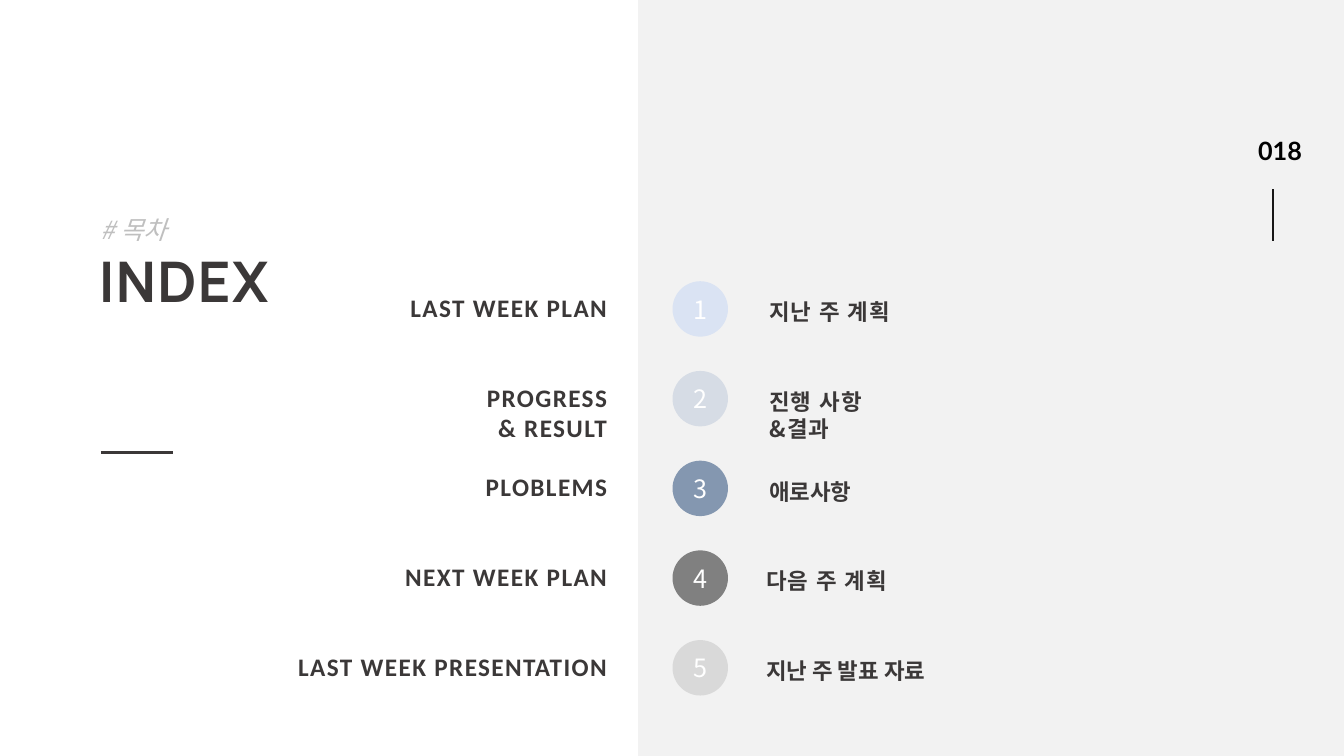
from lxml.etree import SubElement
from pptx import Presentation
from pptx.dml.color import RGBColor
from pptx.enum.shapes import MSO_CONNECTOR, MSO_SHAPE
from pptx.enum.text import MSO_ANCHOR, MSO_AUTO_SIZE, PP_ALIGN
from pptx.oxml.ns import qn
from pptx.util import Inches, Pt

WHITE = RGBColor(0xFF, 0xFF, 0xFF)
BLACK = RGBColor(0x00, 0x00, 0x00)
INK = RGBColor(0x18, 0x17, 0x17)
DARK = RGBColor(0x3B, 0x38, 0x38)
SILVER = RGBColor(0xBF, 0xBF, 0xBF)
PANEL = RGBColor(0xF2, 0xF2, 0xF2)
KOREAN = "Noto Sans CJK KR"

TITLE = "INDEX"
SUBTITLE = "# 목차"
PAGE = "018"
# English lines, Korean lines, Korean letter spacing, Korean left, circle colour
ROWS = [
    (["LAST WEEK PLAN"], ["지난 주 계획"], 1, 7.53, RGBColor(0xDA, 0xE3, 0xF3)),
    (["PROGRESS", "& RESULT"], ["진행 사항", "&결과"], 1, 7.53, RGBColor(0xD6, 0xDC, 0xE5)),
    (["PLOBLEMS"], ["애로사항"], 0, 7.53, RGBColor(0x84, 0x97, 0xB0)),
    (["NEXT WEEK PLAN"], ["다음 주 계획"], 1, 7.5, RGBColor(0x80, 0x80, 0x80)),
    (["LAST WEEK PRESENTATION"], ["지난 주 발표 자료"], 0, 7.5, RGBColor(0xD9, 0xD9, 0xD9)),
]
TOP, PITCH, CIRCLE = 2.79, 0.89, 0.55


def write(tf, lines, size, font, color, bold=False, italic=False, spacing=0, align=PP_ALIGN.LEFT):
    """Fill a text frame with one formatted paragraph per line."""
    for i, line in enumerate(lines):
        p = tf.paragraphs[0] if i == 0 else tf.add_paragraph()
        p.text, p.alignment = line, align
        p.font.size, p.font.name = Pt(size), font
        p.font.bold, p.font.italic = bold, italic
        p.font.color.rgb = color
        props = p._p.get_or_add_pPr().get_or_add_defRPr()
        props.set("spc", str(spacing * 100))
        SubElement(props, qn("a:ea"), typeface=font)


def add_text(slide, box, lines, size, font, color, wrap=True, **style):
    """Add a text box and return its text frame."""
    tf = slide.shapes.add_textbox(*map(Inches, box)).text_frame
    tf.word_wrap = wrap
    tf.auto_size = MSO_AUTO_SIZE.SHAPE_TO_FIT_TEXT
    write(tf, lines, size, font, color, **style)
    return tf


def add_filled(slide, kind, box, color):
    """Add a plain filled shape."""
    sp = slide.shapes.add_shape(kind, *map(Inches, box))
    sp.shadow.inherit = False
    sp.fill.solid()
    sp.fill.fore_color.rgb = color
    sp.line.fill.background()
    return sp


def add_line(slide, ends, color, width):
    """Add a straight line without a shadow."""
    line = slide.shapes.add_connector(MSO_CONNECTOR.STRAIGHT, *map(Inches, ends))
    line.line.color.rgb = color
    line.line.width = Pt(width)
    SubElement(line._element.spPr, qn("a:effectLst"))


def add_row(slide, number, top, row):
    """Add one numbered index entry in both languages."""
    english, korean, spacing, left, color = row
    sp = add_filled(slide, MSO_SHAPE.OVAL, (6.67, top, CIRCLE, CIRCLE), color)
    tf = sp.text_frame
    tf.vertical_anchor = MSO_ANCHOR.MIDDLE
    write(tf, [str(number)], 18, KOREAN, WHITE, align=PP_ALIGN.CENTER)
    add_text(slide, (2.78, top + 0.06, 3.34, 0.09 + 0.31 * len(english)), english, 18,
             "Calibri", DARK, bold=True, spacing=1, align=PP_ALIGN.RIGHT)
    add_text(slide, (left, top + 0.12, 10.2 - left, 0.1 + 0.27 * len(korean)), korean, 16,
             KOREAN, DARK, bold=True, spacing=spacing)


def main():
    """Build the index slide."""
    prs = Presentation()
    prs.slide_width, prs.slide_height = Inches(13.33), Inches(7.5)
    slide = prs.slides.add_slide(prs.slide_layouts[5])
    add_filled(slide, MSO_SHAPE.RECTANGLE, (6.33, 0, 7, 7.5), PANEL)
    add_text(slide, (12.38, 1.29, 0.64, 0.4), [PAGE], 18, "Lato", BLACK, wrap=False, bold=True)
    add_line(slide, (12.63, 1.88, 12.63, 2.39), INK, 1.5)

    title = slide.shapes.title
    title.left, title.top, title.width, title.height = map(Inches, (0.88, 2.47, 3.55, 1.48))
    tf = title.text_frame
    tf.vertical_anchor = MSO_ANCHOR.TOP
    tf.auto_size = MSO_AUTO_SIZE.NONE
    write(tf, [TITLE], 40, "Manrope", DARK, bold=True, spacing=1)
    tf.paragraphs[0].line_spacing = 0.9

    add_line(slide, (1, 4.49, 1.72, 4.49), DARK, 2.75)
    tf = add_text(slide, (0.9, 2.13, 4.33, 0.41), [SUBTITLE], 18, KOREAN, SILVER, italic=True)
    tf.paragraphs[0].line_spacing = Pt(18)
    tf.paragraphs[0].space_before = Pt(12)

    for i, row in enumerate(ROWS):
        add_row(slide, i + 1, TOP + i * PITCH, row)
    prs.save("out.pptx")


if __name__ == "__main__":
    main()
